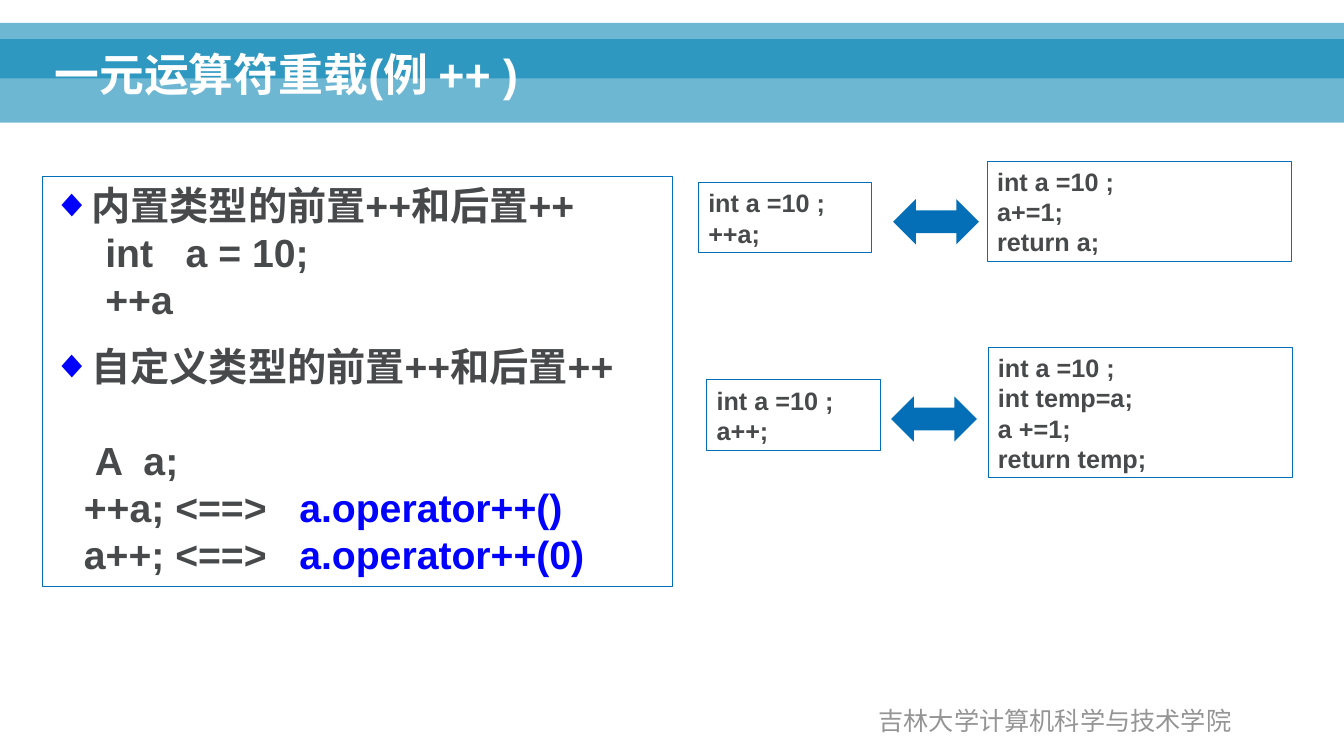
import pptx
import pptx.util
import pptx.dml.color
import pptx.enum.shapes
import pptx.enum.text
import pptx.oxml
import pptx.oxml.ns
from lxml import etree

Cm = pptx.util.Cm
Pt = pptx.util.Pt
MSO_SHAPE = pptx.enum.shapes.MSO_SHAPE
ANCHOR = pptx.enum.text.MSO_ANCHOR
ALIGN = pptx.enum.text.PP_ALIGN

COLORS = {
    "band": "0082B3",
    "accent": "046FB6",
    "paper": "FFFFFF",
    "text": "47494B",
    "operator": "0000FF",
    "footer": "959596",
}
FONT = "Arial"


def color(name):
    """Return the named colour of the palette."""
    return pptx.dml.color.RGBColor.from_string(COLORS[name])


def add_xml(parent, tag, **attributes):
    """Append a DrawingML element and return it."""
    child = etree.SubElement(parent, pptx.oxml.ns.qn(tag))
    for key, value in attributes.items():
        child.set(key, str(value))
    return child


def write(paragraph, *parts, size=18, inks=("text",), bold=True, align=ALIGN.LEFT,
          before=0, leading=None, indent=0, bullet=False):
    """Add text parts, each in its ink, to a paragraph with the given format."""
    for text, ink in zip(parts, inks):
        run = paragraph.add_run()
        run.text = text
        run.font.name, run.font.size, run.font.bold = FONT, Pt(size), bold
        run.font.color.rgb = color(ink)
    paragraph.alignment = align
    paragraph.space_before = Pt(before)
    if leading:
        paragraph.line_spacing = leading
    properties = paragraph._p.get_or_add_pPr()
    properties.set("marL", str(Cm(indent) if bullet else 0))
    properties.set("indent", str(Cm(-indent) if bullet else Cm(indent)))
    if bullet:
        add_xml(add_xml(properties, "a:buClr"), "a:srgbClr", val=COLORS["operator"])
        add_xml(properties, "a:buFont", typeface=FONT)
        add_xml(properties, "a:buChar", char="◆")
    else:
        add_xml(properties, "a:buNone")


def place(shape, left, top, width, height):
    """Move a shape to a box given in centimetres."""
    shape.left, shape.top = Cm(left), Cm(top)
    shape.width, shape.height = Cm(width), Cm(height)


def add_filled(slide, kind, left, top, width, height, fill):
    """Add a plain filled shape without outline."""
    shape = slide.shapes.add_shape(kind, Cm(left), Cm(top), Cm(width), Cm(height))
    shape.shadow.inherit = False
    shape.fill.solid()
    shape.fill.fore_color.rgb = color(fill)
    shape.line.fill.background()
    return shape


def outline(shape):
    """Give a text panel its white fill, thin outline and top-aligned text."""
    shape.fill.solid()
    shape.fill.fore_color.rgb = color("paper")
    shape.line.color.rgb = color("accent")
    shape.line.width = Pt(0.75)
    frame = shape.text_frame
    frame.auto_size = pptx.enum.text.MSO_AUTO_SIZE.NONE
    frame.word_wrap = True
    frame.vertical_anchor = ANCHOR.TOP
    return frame


def add_header(slide, left, top, width):
    """Draw the two overlapping bands and the slide title."""
    for offset, height in ((0.41, 2.1), (0, 1.4)):
        band = add_filled(slide, MSO_SHAPE.RECTANGLE, left, top + offset, width, height, "band")
        fill = band.fill._xPr.find(pptx.oxml.ns.qn("a:solidFill"))
        add_xml(fill[0], "a:alpha", val=57000)
    title = slide.shapes.title
    place(title, left + 1.12, top + 0.13, 19.66, 1.98)
    slide.shapes._spTree.append(title._element)
    title.text_frame.vertical_anchor = ANCHOR.BOTTOM
    write(title.text_frame.paragraphs[0], "一元运算符重载(例 ++ )", size=32,
          inks=("paper",), leading=0.9)


def add_overview(slide, left, top, width, height):
    """Fill the body with the built-in and user-defined cases."""
    body = slide.placeholders[1]
    place(body, left, top, width, height)
    frame = outline(body)
    heading = dict(indent=0.79, bullet=True)
    call = dict(indent=0.79, inks=("text", "operator"))
    lines = (
        (("内置类型的前置++和后置++",), heading),
        (("int   a = 10;",), dict(indent=1.33)),
        (("++a",), dict(indent=1.33)),
        (("自定义类型的前置++和后置++",), dict(heading, before=14)),
        (("A  a;",), dict(indent=1.07, before=33.6)),
        (("++a; <==>   ", "a.operator++()"), call),
        (("a++; <==>   ", "a.operator++(0)"), call),
    )
    for number, (parts, layout) in enumerate(lines):
        paragraph = frame.add_paragraph() if number else frame.paragraphs[0]
        write(paragraph, *parts, size=28, leading=Pt(33.6), **layout)


def add_code(slide, left, middle, width, lines):
    """Add a code panel centred on a height, as tall as its lines."""
    height = 0.25 + 0.76 * len(lines)
    panel = add_filled(slide, MSO_SHAPE.RECTANGLE, left, middle - height / 2, width, height, "paper")
    frame = outline(panel)
    for number, line in enumerate(lines):
        paragraph = frame.add_paragraph() if number else frame.paragraphs[0]
        write(paragraph, line, leading=Pt(21.6))


def add_equivalence(slide, left, top, width, height, short, expanded, drop, gap):
    """Show a short form, a double arrow and its expanded form."""
    middle = top + height / 2
    expanded_width, arrow_width, arrow_height = 7.67, 2.16, 1.14
    expanded_left = left + width - expanded_width
    add_code(slide, left, middle + drop, 4.37, short)
    add_code(slide, expanded_left, middle, expanded_width, expanded)
    add_filled(slide, MSO_SHAPE.LEFT_RIGHT_ARROW, expanded_left - gap - arrow_width,
               middle + drop + 0.1 - arrow_height / 2, arrow_width, arrow_height, "accent")


def add_footer(slide, left, top, width, height):
    """Write the school name at the foot of the slide."""
    school = slide.shapes.add_textbox(Cm(left), Cm(top), Cm(width), Cm(height))
    school.text_frame.word_wrap = True
    school.text_frame.vertical_anchor = ANCHOR.MIDDLE
    write(school.text_frame.paragraphs[0], "吉林大学计算机科学与技术学院",
          inks=("footer",), bold=False, align=ALIGN.CENTER)


def main():
    """Build and save the slide."""
    deck = pptx.Presentation()
    deck.slide_width, deck.slide_height = Cm(33.87), Cm(19.05)
    slide = deck.slides.add_slide(deck.slide_layouts[1])
    add_header(slide, 0, 0.58, 33.87)
    add_overview(slide, 1.07, 4.45, 15.88, 10.34)
    add_equivalence(slide, 17.6, 4.06, 14.95, 2.54, ("int a =10 ;", "++a;"),
                    ("int a =10 ;", "a+=1;", "return a;"), drop=0.16, gap=0.21)
    add_equivalence(slide, 17.81, 8.75, 14.76, 3.3, ("int a =10 ;", "a++;"),
                    ("int a =10 ;", "int temp=a;", "a +=1;", "return temp;"), drop=0.06, gap=0.28)
    add_footer(slide, 18.62, 17.65, 15.93, 1.02)
    deck.save("out.pptx")


if __name__ == "__main__":
    main()
